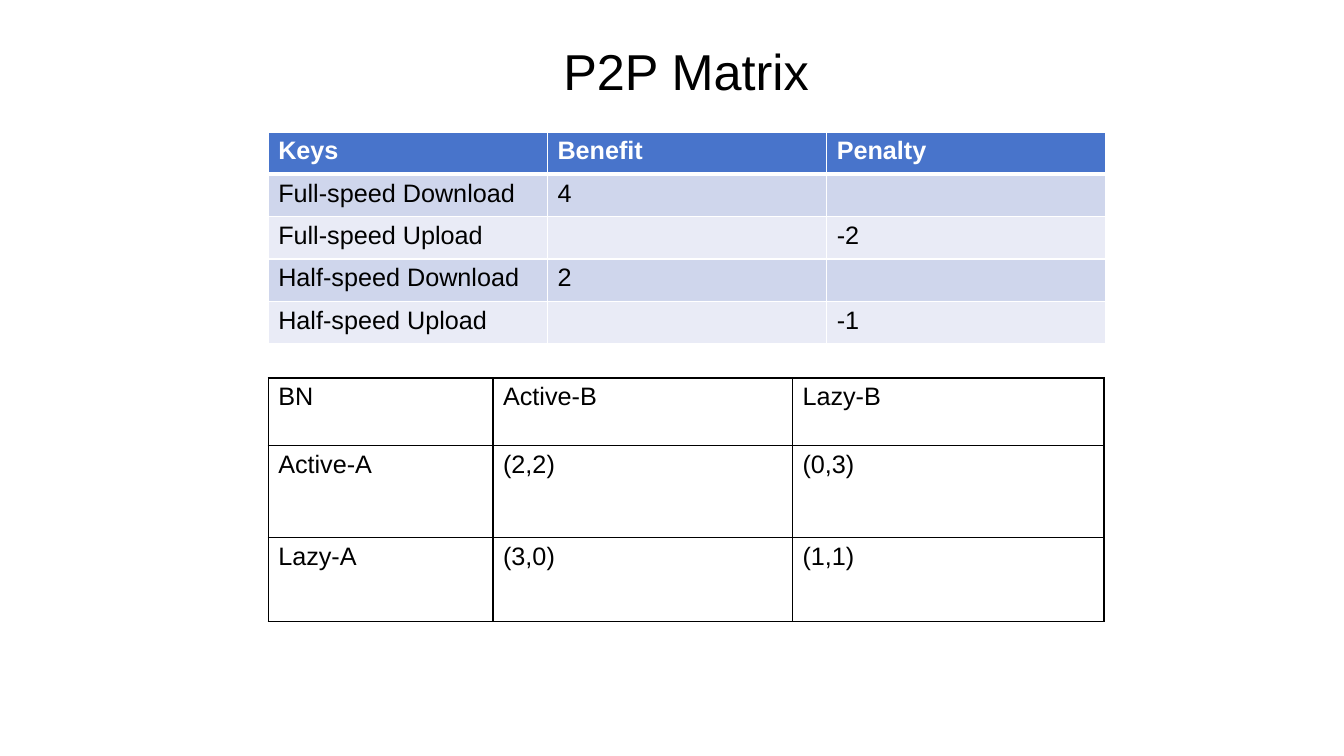
"""Build the P2P Matrix slide with its key table and payoff table."""
import pptx
import pptx.dml.color
import pptx.enum.text
import pptx.oxml
import pptx.oxml.ns
import pptx.util

Inches = pptx.util.Inches
Pt = pptx.util.Pt
RGBColor = pptx.dml.color.RGBColor

BLACK = RGBColor(0x00, 0x00, 0x00)
WHITE = RGBColor(0xFF, 0xFF, 0xFF)
HEADER_BLUE = RGBColor(0x48, 0x74, 0xCB)
BAND_DARK = RGBColor(0xCF, 0xD6, 0xEC)
BAND_LIGHT = RGBColor(0xE9, 0xEB, 0xF6)

KEY_ROWS = [
    ["Keys", "Benefit", "Penalty"],
    ["Full-speed Download", "4", ""],
    ["Full-speed Upload", "", "-2"],
    ["Half-speed Download", "2", ""],
    ["Half-speed Upload", "", "-1"],
]
PAYOFF_ROWS = [
    ["BN", "Active-B", "Lazy-B"],
    ["Active-A", "(2,2)", "(0,3)"],
    ["Lazy-A", "(3,0)", "(1,1)"],
]


class SlideBuilder:
    font = "Arial"
    title_size = Pt(36)
    table_size = Pt(18)

    def __init__(self, deck):
        self.page = deck.slides.add_slide(deck.slide_layouts[5])

    def format_text(self, frame, size, color, bold=False):
        for para in frame.paragraphs:
            for span in para.runs:
                span.font.name = self.font
                span.font.size = size
                span.font.bold = bold
                span.font.color.rgb = color

    def title(self, text, left, top, width, height):
        box = self.page.shapes.title
        box.left, box.top = Inches(left), Inches(top)
        box.width, box.height = Inches(width), Inches(height)
        frame = box.text_frame
        frame.text = text
        frame.word_wrap = False
        frame.auto_size = pptx.enum.text.MSO_AUTO_SIZE.NONE
        frame.vertical_anchor = pptx.enum.text.MSO_ANCHOR.TOP
        frame.paragraphs[0].alignment = pptx.enum.text.PP_ALIGN.CENTER
        self.format_text(frame, self.title_size, BLACK)

    def borders(self, cell, color, top=1, bottom=1):
        properties = cell._tc.get_or_add_tcPr()
        widths = {"lnL": 1, "lnR": 1, "lnT": top, "lnB": bottom}
        for index, (edge, width) in enumerate(widths.items()):
            line = pptx.oxml.parse_xml(
                f'<a:{edge} {pptx.oxml.ns.nsdecls("a")} w="{Pt(width)}">'
                f'<a:solidFill><a:srgbClr val="{color}"/></a:solidFill></a:{edge}>'
            )
            properties.insert(index, line)

    def table(self, rows, left, top, widths, heights, line_color, fills=None, header_rule=1):
        frame = self.page.shapes.add_table(
            len(rows), len(widths), Inches(left), Inches(top),
            Inches(sum(widths)), Inches(sum(heights)),
        )
        grid = frame.table
        grid.first_row = grid.horz_banding = False
        for column, width in zip(grid.columns, widths):
            column.width = Inches(width)
        for row_index, texts in enumerate(rows):
            grid.rows[row_index].height = Inches(heights[row_index])
            header = bool(fills) and row_index == 0
            for column_index, text in enumerate(texts):
                cell = grid.cell(row_index, column_index)
                cell.text_frame.text = text
                self.format_text(
                    cell.text_frame, self.table_size, WHITE if header else BLACK, header
                )
                if fills:
                    cell.fill.solid()
                    cell.fill.fore_color.rgb = fills[row_index]
                else:
                    cell.fill.background()
                self.borders(
                    cell, line_color,
                    top=header_rule if row_index == 1 else 1,
                    bottom=header_rule if row_index == 0 else 1,
                )


def main():
    deck = pptx.Presentation()
    deck.slide_width, deck.slide_height = Inches(13.33), Inches(7.5)
    builder = SlideBuilder(deck)
    builder.table(
        KEY_ROWS, 2.66, 1.31, [2.77] * 3, [0.42] * 5, WHITE,
        fills=[HEADER_BLUE] + [BAND_DARK, BAND_LIGHT] * 2, header_rule=3,
    )
    builder.table(PAYOFF_ROWS, 2.66, 3.75, [2.23, 2.97, 3.09], [0.67, 0.91, 0.84], BLACK)
    builder.title("P2P Matrix", 5.48, 0.35, 2.65, 0.71)
    deck.save("out.pptx")


if __name__ == "__main__":
    main()
